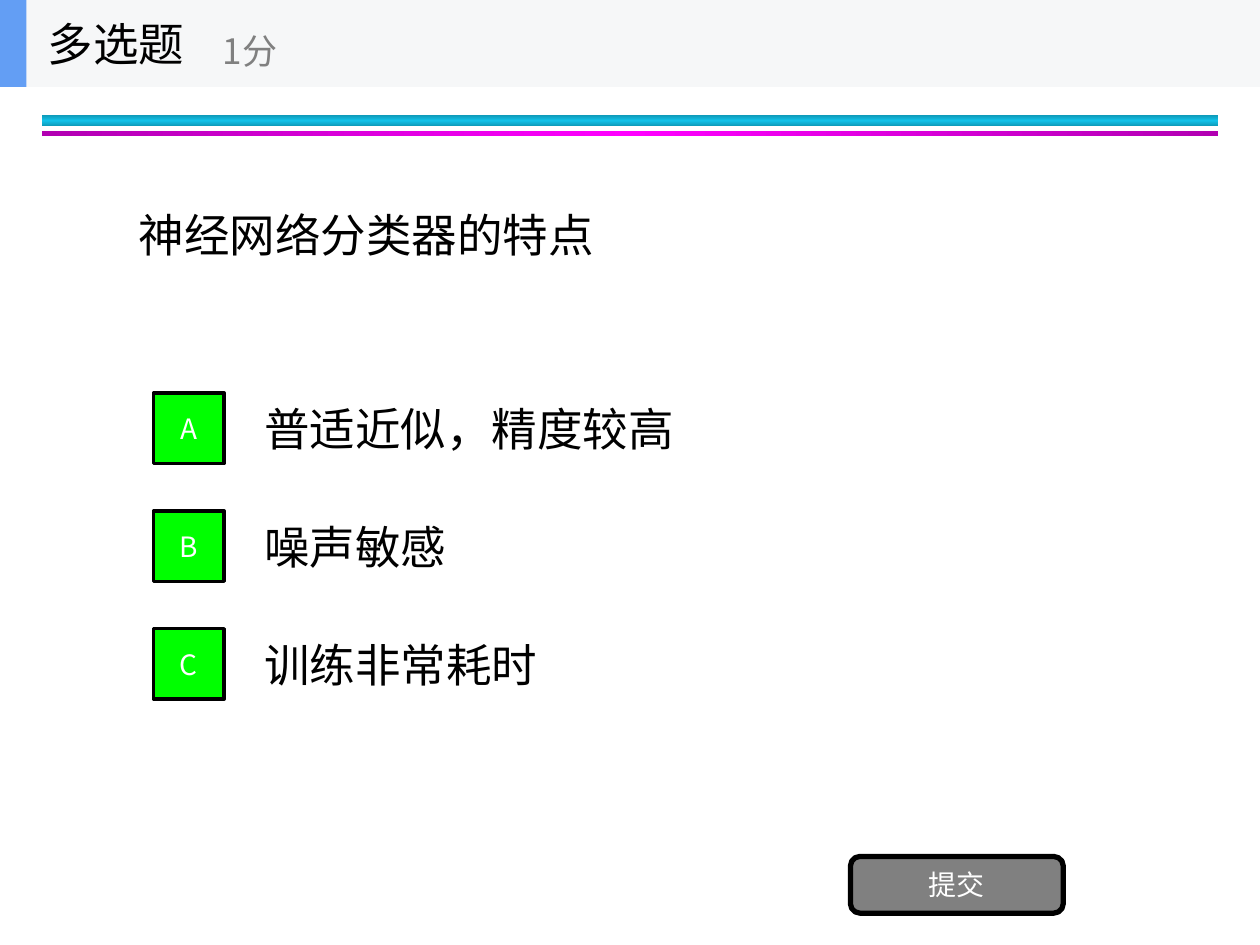
import copy
from dataclasses import dataclass

import pptx
import pptx.dml.color
import pptx.enum.shapes
import pptx.enum.text
import pptx.oxml
import pptx.oxml.ns
import pptx.util

Pt = pptx.util.Pt
SHAPE = pptx.enum.shapes.MSO_SHAPE
ALIGN = pptx.enum.text.PP_ALIGN


@dataclass(frozen=True)
class Theme:
    font: str = "Noto Sans CJK SC"
    main_size: int = 26
    score_size: int = 20
    label_size: int = 16
    ink: str = "000000"
    paper: str = "FFFFFF"
    grey: str = "808080"
    band: str = "F6F7F8"
    accent: str = "639EF4"
    badge: str = "00FF00"
    cyan: tuple = ("0E9BBA", "12C2E9")
    magenta: tuple = ("B200B2", "FF00FF")


THEME = Theme()
OPTIONS = [("A", "普适近似，精度较高"), ("B", "噪声敏感"), ("C", "训练非常耗时")]
OPTION_TOP, OPTION_PITCH, OPTION_HEIGHT = 219.6, 67.3, 50.4
BADGE_LEFT, BADGE_SIZE = 87.8, 40.3


def rgb(value):
    return pptx.dml.color.RGBColor.from_string(value)


def place(sp, left, top, width, height):
    sp.left, sp.top, sp.width, sp.height = map(Pt, (left, top, width, height))


def write(sp, text, size, color, align=ALIGN.LEFT):
    """Put one line of text, vertically centred, into a shape."""
    tf = sp.text_frame
    tf.word_wrap = True
    tf.auto_size = pptx.enum.text.MSO_AUTO_SIZE.NONE
    tf.vertical_anchor = pptx.enum.text.MSO_ANCHOR.MIDDLE
    p = tf.paragraphs[0]
    p.alignment = align
    p.space_before = Pt(0)
    r = p.add_run()
    r.text = text
    r.font.name = THEME.font
    r.font.size = Pt(size)
    r.font.color.rgb = rgb(color)
    ea = pptx.oxml.parse_xml(
        f'<a:ea {pptx.oxml.ns.nsdecls("a")} typeface="{THEME.font}"/>')
    r.font._element.append(ea)
    return p


def add_text(s, box, text, size, color):
    sp = s.shapes.add_textbox(*map(Pt, box))
    write(sp, text, size, color)


def add_block(s, box, fill=None, line_width=0, kind=SHAPE.RECTANGLE):
    sp = s.shapes.add_shape(kind, *map(Pt, box))
    sp.shadow.inherit = False
    if fill:
        sp.fill.solid()
        sp.fill.fore_color.rgb = rgb(fill)
    if line_width:
        sp.line.color.rgb = rgb(THEME.ink)
        sp.line.width = Pt(line_width)
    else:
        sp.line.fill.background()
    return sp


def add_rule(s, box, colors, angle):
    """Gradient strip: edge colour, middle colour, edge colour."""
    sp = add_block(s, box)
    sp.fill.gradient()
    sp.fill.gradient_angle = angle
    edge, middle = sp.fill.gradient_stops
    edge.color.rgb, middle.color.rgb = map(rgb, colors)
    edge.position, middle.position = 0, 0.5
    stops = sp.element.find(".//" + pptx.oxml.ns.qn("a:gsLst"))
    last = copy.deepcopy(stops[0])
    last.set("pos", "100000")
    stops.append(last)


def add_header(s):
    add_block(s, (0, 0, 720, 49.7), THEME.band)
    add_block(s, (0, 0, 15.1, 49.7), THEME.accent)
    title = s.shapes.title
    place(title, 20.2, 0, 149.8, 49.7)
    write(title, "多选题", THEME.main_size, THEME.ink)
    # The title lies above the header band
    title.element.getparent().append(title.element)
    add_text(s, (120.2, 8.7, 180, 40.3), "1分", THEME.score_size, THEME.grey)


def add_question(s, text):
    body = s.placeholders[1]
    place(body, 72, 49.7, 576, 168.5)
    p = write(body, text, THEME.main_size, THEME.ink)
    props = p._p.get_or_add_pPr()
    props.set("marL", "0")
    props.set("indent", "0")
    props.append(pptx.oxml.parse_xml(f'<a:buNone {pptx.oxml.ns.nsdecls("a")}/>'))


def add_option(s, index, letter, text):
    top = OPTION_TOP + index * OPTION_PITCH
    add_text(s, (144, top, 504, OPTION_HEIGHT), text, THEME.main_size, THEME.ink)
    badge_top = top + (OPTION_HEIGHT - BADGE_SIZE) / 2
    badge = add_block(s, (BADGE_LEFT, badge_top, BADGE_SIZE, BADGE_SIZE),
                      THEME.badge, 2)
    write(badge, letter, THEME.label_size, THEME.paper, ALIGN.CENTER)


def add_button(s, text):
    sp = add_block(s, (486, 489.4, 121.6, 32.4), THEME.grey, 3,
                   SHAPE.ROUNDED_RECTANGLE)
    write(sp, text, THEME.label_size, THEME.paper, ALIGN.CENTER)


def main():
    prs = pptx.Presentation()
    prs.slide_width, prs.slide_height = Pt(720), Pt(540)
    s = prs.slides.add_slide(prs.slide_layouts[1])

    # Double rule below the header
    add_rule(s, (24, 66, 672, 6), THEME.cyan, 90)
    add_rule(s, (24, 75, 672, 2.8), THEME.magenta, 0)

    # Question and answers
    add_question(s, "神经网络分类器的特点")
    for index, (letter, text) in enumerate(OPTIONS):
        add_option(s, index, letter, text)
    add_button(s, "提交")

    # Header with question type and score
    add_header(s)
    prs.save("out.pptx")


if __name__ == "__main__":
    main()
